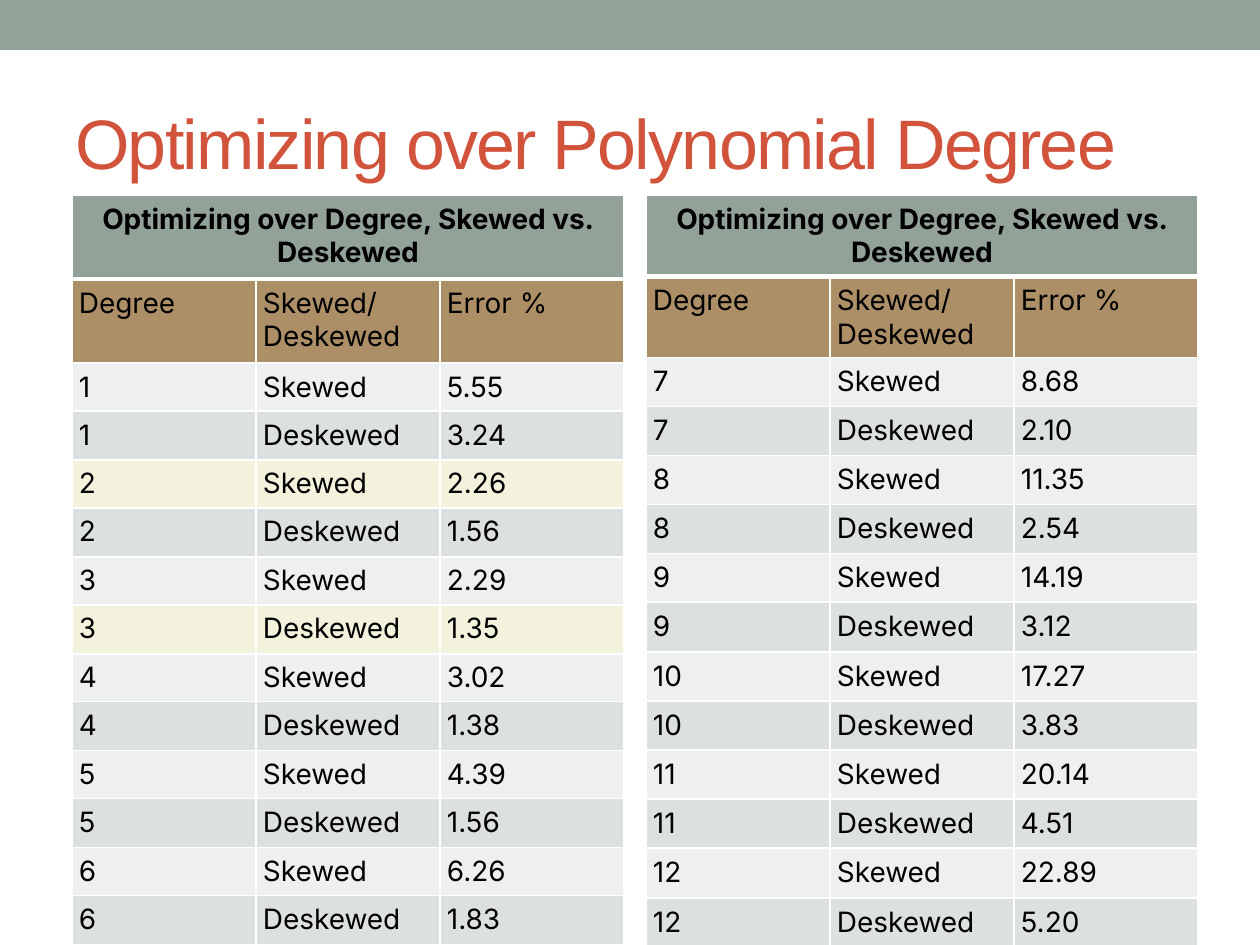
import pptx
import pptx.dml.color
import pptx.enum.shapes
import pptx.enum.text
import pptx.oxml
import pptx.oxml.ns
import pptx.util

SCALE = 914400 // 126
SAGE, TAN, RED, BLACK, WHITE = "93A299", "AD8F67", "D2533C", "000000", "FFFFFF"
LIGHT, DARK, HIGHLIGHT = "EEF0EF", "DCE0DE", "F3F2DC"
HEADING = "Optimizing over Degree, Skewed vs. Deskewed"
COLUMNS = ("Degree", "Skewed/Deskewed", "Error %")


def px(n):
    return pptx.util.Emu(n * SCALE)


def color(code):
    return pptx.dml.color.RGBColor.from_string(code)


def split(total, n):
    return [total * (i + 1) // n - total * i // n for i in range(n)]


class Deck:
    """Holds the style and the current slide and draws its elements."""

    def __init__(self, width, height):
        self.prs = pptx.Presentation()
        self.prs.slide_width, self.prs.slide_height = px(width), px(height)
        self.s = self.prs.slides.add_slide(self.prs.slide_layouts[6])
        self.title_font, self.table_font = "Arial", "Inter"

    def style(self, p, name, size, code, bold=False):
        p.font.name, p.font.size, p.font.bold = name, pptx.util.Pt(size), bold
        p.font.color.rgb = color(code)

    def band(self, x, y, w, h, fill):
        rect = pptx.enum.shapes.MSO_SHAPE.RECTANGLE
        sp = self.s.shapes.add_shape(rect, px(x), px(y), px(w), px(h))
        sp.shadow.inherit = False
        sp.fill.solid()
        sp.fill.fore_color.rgb = color(fill)
        sp.line.fill.background()

    def title(self, x, y, w, h, text):
        tf = self.s.shapes.add_textbox(px(x), px(y), px(w), px(h)).text_frame
        tf.word_wrap = True
        tf.vertical_anchor = pptx.enum.text.MSO_ANCHOR.MIDDLE
        p = tf.paragraphs[0]
        r = p.add_run()
        r.text = text
        self.style(p, self.title_font, 40, RED)
        r.font.bold = False
        r.font._element.set("spc", "-100")

    def borders(self, cell, bottom):
        tc_pr = cell._tc.get_or_add_tcPr()
        for i, (side, width) in enumerate(zip("LRTB", (1, 1, 1, bottom))):
            ln = pptx.oxml.parse_xml(
                f'<a:ln{side} {pptx.oxml.ns.nsdecls("a")} w="{width * 12700}">'
                f'<a:solidFill><a:srgbClr val="{WHITE}"/></a:solidFill></a:ln{side}>')
            tc_pr.insert(i, ln)

    def cell(self, cell, text, fill, heading=False):
        cell.fill.solid()
        cell.fill.fore_color.rgb = color(fill)
        cell.margin_left = cell.margin_right = px(7)
        cell.margin_top = cell.margin_bottom = px(7)
        cell.text = text
        p = cell.text_frame.paragraphs[0]
        self.style(p, self.table_font, 16, BLACK, heading)
        if heading:
            p.alignment = pptx.enum.text.PP_ALIGN.CENTER
        self.borders(cell, 3 if heading else 1)

    def table(self, x, y, w, heights, first_degree, errors, highlights=()):
        frame = self.s.shapes.add_table(
            len(heights), 3, px(x), px(y), px(w), px(sum(heights)))
        table = frame.table
        table.first_row = table.horz_banding = False
        for column, width in zip(table.columns, split(w, 3)):
            column.width = px(width)
        for row, height in zip(table.rows, heights):
            row.height = px(height)
        table.cell(0, 0).merge(table.cell(0, 2))
        rows = [((HEADING, "", ""), SAGE), (COLUMNS, TAN)]
        for i, error in enumerate(errors):
            kind = ("Skewed", "Deskewed")[i % 2]
            fill = HIGHLIGHT if i in highlights else (LIGHT, DARK)[i % 2]
            rows.append(((str(first_degree + i // 2), kind, error), fill))
        for i, (texts, fill) in enumerate(rows):
            for j, text in enumerate(texts):
                self.cell(table.cell(i, j), text, fill, heading=i == 0)


deck = Deck(1260, 945)
deck.band(0, 0, 1260, 50, SAGE)
deck.title(63, 73, 1134, 136, "Optimizing over Polynomial Degree")
deck.table(72, 195, 552, [84, 84] + split(582, 12), 1,
           "5.55 3.24 2.26 1.56 2.29 1.35 3.02 1.38 4.39 1.56 6.26 1.83".split(),
           highlights=(2, 5))
deck.table(646, 195, 552, [81, 81] + split(541, 11) + [46], 7,
           "8.68 2.10 11.35 2.54 14.19 3.12 17.27 3.83 20.14 4.51 22.89 5.20".split())
deck.prs.save("out.pptx")
